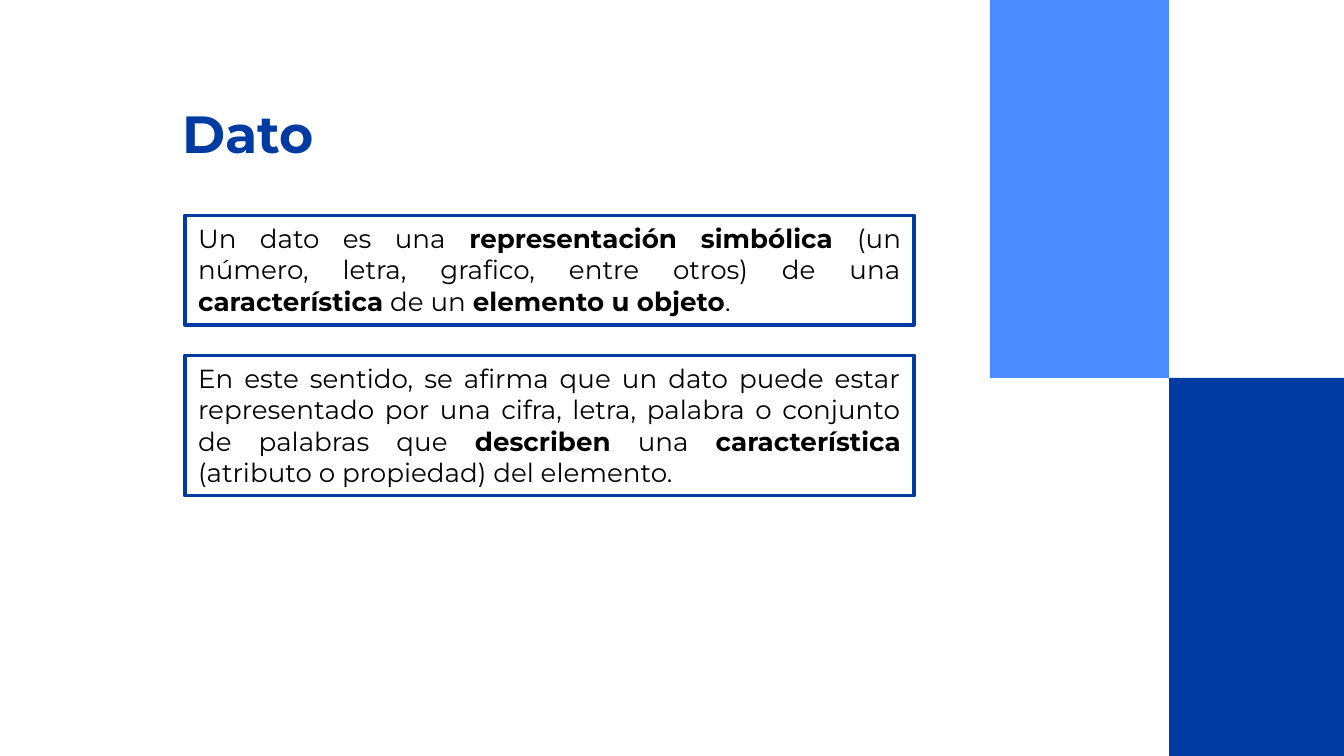
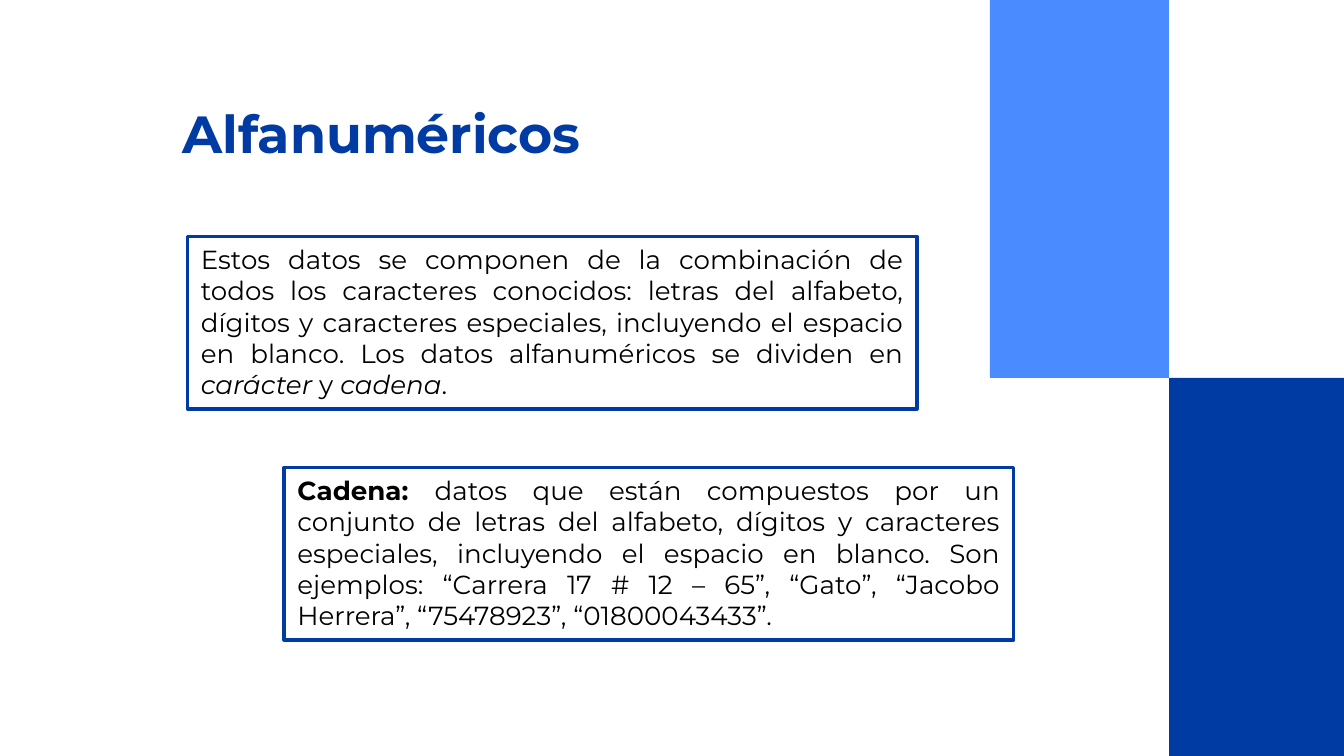
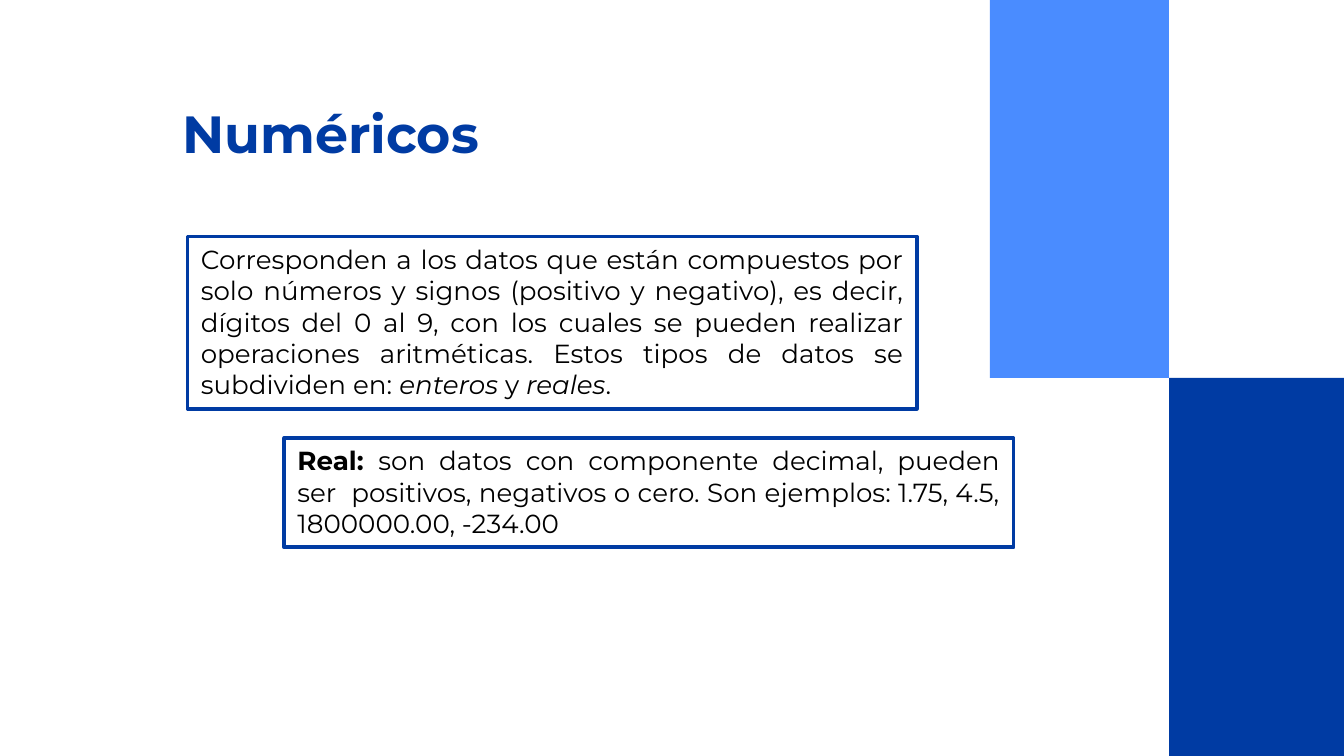
from dataclasses import dataclass

import pptx
import pptx.dml.color
import pptx.enum.shapes
import pptx.enum.text
import pptx.util

PX = 9525  # EMU per pixel, 96 px to the inch
SLIDE_W, SLIDE_H = 960, 540
HALF_H = SLIDE_H // 2

NAVY, SKY, WHITE, BLACK = "003BA3", "4A8CFF", "FFFFFF", "000000"
FONT = "Montserrat"

LEFT, TOP_SHIFTED, INDENT = 132, 169, 203
BOX_W = 521
BOX_H = {3: 78, 4: 100, 5: 123}  # box height by number of text lines


@dataclass(frozen=True)
class Rect:
    x: int
    y: int
    w: int
    h: int


@dataclass(frozen=True)
class Run:
    text: str
    bold: bool = False
    italic: bool = False


@dataclass(frozen=True)
class Box:
    x: int
    y: int
    lines: int
    runs: list[Run]


@dataclass(frozen=True)
class Page:
    title: str
    boxes: list[Box]


TITLE = Rect(121, 47, 444, 80)
BANDS = [
    (Rect(707, 0, 128, HALF_H), SKY),
    (Rect(835, HALF_H, SLIDE_W - 835, HALF_H), NAVY),
]

PAGES = [
    Page("Dato", [
        Box(LEFT, 154, 3, [
            Run("Un dato es una "),
            Run("representación simbólica ", bold=True),
            Run("(un número, letra, grafico, entre otros) de una "),
            Run("característica", bold=True),
            Run(" de un "),
            Run("elemento u objeto", bold=True),
            Run("."),
        ]),
        Box(LEFT, 254, 4, [
            Run("En este sentido, se afirma que un dato puede estar representado "
                "por una cifra, letra, palabra o conjunto de palabras que "),
            Run("describen", bold=True),
            Run(" una "),
            Run("característica", bold=True),
            Run(" (atributo o propiedad) del elemento."),
        ]),
    ]),
    Page("Alfanuméricos", [
        Box(LEFT + 2, TOP_SHIFTED, 5, [
            Run("Estos datos se componen de la combinación de todos los caracteres "
                "conocidos: letras del alfabeto, dígitos y caracteres especiales, "
                "incluyendo el espacio en blanco. Los datos alfanuméricos se "
                "dividen en "),
            Run("carácter", italic=True),
            Run(" y "),
            Run("cadena", italic=True),
            Run("."),
        ]),
        Box(INDENT, 334, 5, [
            Run("Cadena: ", bold=True),
            Run("datos que están compuestos por un conjunto de letras del alfabeto, "
                "dígitos y caracteres especiales, incluyendo el espacio en blanco. "
                "Son ejemplos: “Carrera 17 # 12 – 65”, “Gato”, “Jacobo Herrera”, "
                "“75478923”, “01800043433”."),
        ]),
    ]),
    Page("Numéricos", [
        Box(LEFT + 2, TOP_SHIFTED, 5, [
            Run("Corresponden a los datos que están compuestos por solo números y "
                "signos (positivo y negativo), es decir, dígitos del 0 al 9, con los "
                "cuales se pueden realizar operaciones aritméticas. Estos tipos de "
                "datos se subdividen en: "),
            Run("enteros", italic=True),
            Run(" y "),
            Run("reales", italic=True),
            Run("."),
        ]),
        Box(INDENT, 313, 3, [
            Run("Real: ", bold=True),
            Run("son datos con componente decimal, pueden ser  positivos, negativos "
                "o cero. Son ejemplos: 1.75, 4.5, 1800000.00, -234.00"),
        ]),
    ]),
]


def rgb(value: str) -> pptx.dml.color.RGBColor:
    return pptx.dml.color.RGBColor.from_string(value)


def emu(rect: Rect) -> list[int]:
    return [v * PX for v in (rect.x, rect.y, rect.w, rect.h)]


def set_font(p, size: int, color: str) -> None:
    p.font.name = FONT
    p.font.size = pptx.util.Pt(size)
    p.font.color.rgb = rgb(color)


def add_rect(s, rect: Rect, fill: str):
    sp = s.shapes.add_shape(pptx.enum.shapes.MSO_SHAPE.RECTANGLE, *emu(rect))
    sp.shadow.inherit = False
    sp.fill.solid()
    sp.fill.fore_color.rgb = rgb(fill)
    sp.line.fill.background()
    return sp


def add_title(s, text: str) -> None:
    tf = s.shapes.add_textbox(*emu(TITLE)).text_frame
    tf.word_wrap = True
    tf.vertical_anchor = pptx.enum.text.MSO_ANCHOR.BOTTOM
    tf.margin_top = tf.margin_bottom = pptx.util.Inches(0.1)
    p = tf.paragraphs[0]
    p.text = text
    set_font(p, 28, NAVY)
    p.font.bold = True


def add_box(s, box: Box) -> None:
    sp = add_rect(s, Rect(box.x, box.y, BOX_W, BOX_H[box.lines]), WHITE)
    sp.line.color.rgb = rgb(NAVY)
    sp.line.width = pptx.util.Pt(2)
    tf = sp.text_frame
    tf.word_wrap = True
    tf.auto_size = pptx.enum.text.MSO_AUTO_SIZE.SHAPE_TO_FIT_TEXT
    tf.vertical_anchor = pptx.enum.text.MSO_ANCHOR.TOP
    p = tf.paragraphs[0]
    p.alignment = pptx.enum.text.PP_ALIGN.JUSTIFY
    set_font(p, 14, BLACK)
    for run in box.runs:
        r = p.add_run()
        r.text = run.text
        r.font.bold = run.bold
        r.font.italic = run.italic


def add_page(prs, page: Page) -> None:
    s = prs.slides.add_slide(prs.slide_layouts[6])
    add_title(s, page.title)
    for rect, fill in BANDS:
        add_rect(s, rect, fill)
    for box in page.boxes:
        add_box(s, box)


def main() -> None:
    prs = pptx.Presentation()
    prs.slide_width = SLIDE_W * PX
    prs.slide_height = SLIDE_H * PX
    for page in PAGES:
        add_page(prs, page)
    prs.save("out.pptx")


if __name__ == "__main__":
    main()
